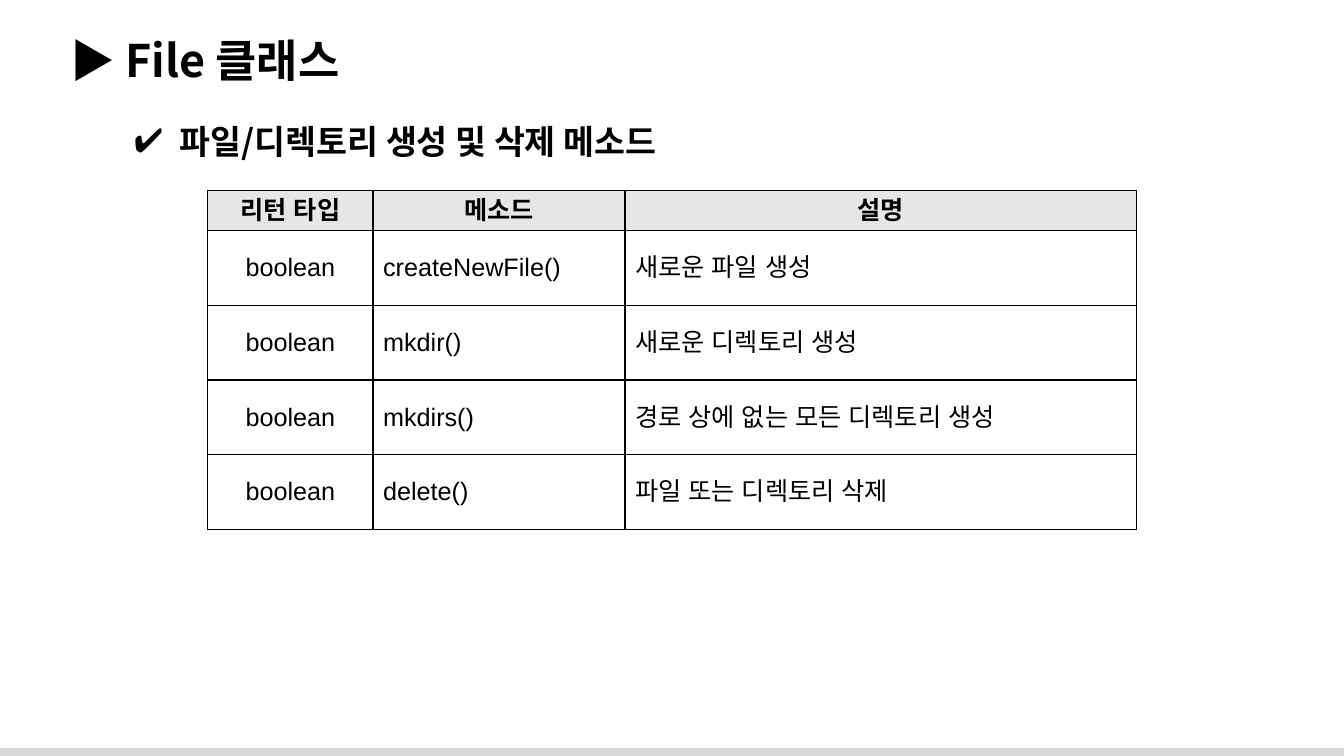
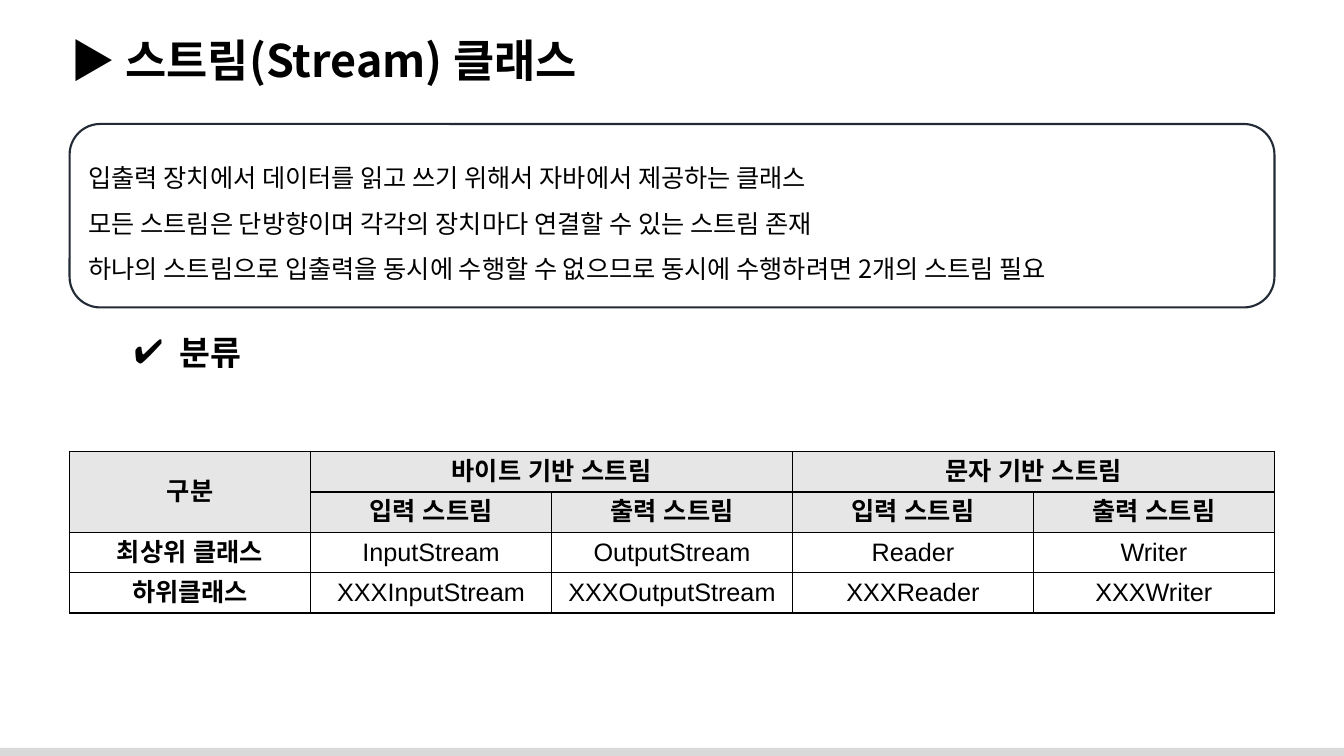
from lxml import etree
from pptx import Presentation
from pptx.dml.color import RGBColor
from pptx.enum.shapes import MSO_SHAPE
from pptx.enum.text import MSO_ANCHOR, MSO_AUTO_SIZE, PP_ALIGN
from pptx.oxml.ns import qn
from pptx.util import Inches, Pt

BLACK = RGBColor(0x00, 0x00, 0x00)
WHITE = RGBColor(0xFF, 0xFF, 0xFF)
HEADER = RGBColor(0xE7, 0xE6, 0xE6)
BAND = RGBColor(0xD9, 0xD9, 0xD9)
OUTLINE = RGBColor(0x22, 0x2A, 0x35)
LEFT, CENTER = PP_ALIGN.LEFT, PP_ALIGN.CENTER
MIDDLE = MSO_ANCHOR.MIDDLE
GROW = MSO_AUTO_SIZE.SHAPE_TO_FIT_TEXT
RECTANGLE, ROUNDED = MSO_SHAPE.RECTANGLE, MSO_SHAPE.ROUNDED_RECTANGLE
KOREAN, LATIN = "Noto Sans CJK KR", "Arial"
TITLE = {"name": KOREAN, "size": Pt(32), "bold": True}
HEADING = {"name": KOREAN, "size": Pt(24), "bold": True}
BODY = {"name": KOREAN, "size": Pt(18), "bold": False}
CELL = {"name": LATIN, "size": Pt(18), "bold": False}
CELL_BOLD = {**CELL, "bold": True}


class Lecture:
    """Holds the shared slide style and draws on the current page."""

    def __init__(self):
        self.deck = Presentation()
        self.deck.slide_width = Inches(13.33)
        self.deck.slide_height = Inches(7.5)
        self.page = None

    def add_page(self, title):
        self.page = self.deck.slides.add_slide(self.deck.slide_layouts[6])
        band = self.add_box(RECTANGLE, 0, 7.42, 13.33, 0.08)
        band.fill.solid()
        band.fill.fore_color.rgb = BAND
        band.line.fill.background()
        self.add_text(0.6, 0.28, 12.6, 0.64, title, TITLE)

    def add_box(self, kind, *place):
        box = self.page.shapes.add_shape(kind, *map(Inches, place))
        box.shadow.inherit = False
        return box

    def add_span(self, para, text, style, align=LEFT):
        para.alignment = align
        span = para.add_run()
        span.text = text
        for key, value in style.items():
            setattr(span.font, key, value)
        span.font.color.rgb = BLACK
        etree.SubElement(span.font._element, qn("a:ea"), typeface=style["name"])

    def add_text(self, left, top, width, height, text, style):
        box = self.page.shapes.add_textbox(*map(Inches, (left, top, width, height)))
        box.text_frame.word_wrap = True
        box.text_frame.auto_size = GROW
        para = box.text_frame.paragraphs[0]
        self.add_span(para, text, style)
        return para

    def add_heading(self, top, width, text):
        para = self.add_text(1.23, top, width, 0.5, text, HEADING)
        layout = para._p.get_or_add_pPr()
        layout.set("marL", str(Inches(0.38)))
        layout.set("indent", str(-Inches(0.38)))
        color = etree.SubElement(layout, qn("a:buClr"))
        etree.SubElement(color, qn("a:srgbClr"), val=str(BLACK))
        etree.SubElement(layout, qn("a:buFont"), typeface=LATIN)
        etree.SubElement(layout, qn("a:buChar"), char="✔")

    def add_summary(self, left, top, width, height, lines):
        box = self.add_box(ROUNDED, left, top, width, height)
        box.fill.background()
        box.line.color.rgb = OUTLINE
        box.line.width = Pt(1.5)
        frame = box.text_frame
        frame.word_wrap = True
        frame.vertical_anchor = MIDDLE
        for number, line in enumerate(lines):
            para = frame.add_paragraph() if number else frame.paragraphs[0]
            para.line_spacing = 1.5
            self.add_span(para, line, BODY)

    def add_border(self, cell):
        properties = cell._tc.get_or_add_tcPr()
        for side in ("lnL", "lnR", "lnT", "lnB"):
            line = etree.SubElement(properties, qn(f"a:{side}"), w=str(Pt(1)))
            fill = etree.SubElement(line, qn("a:solidFill"))
            etree.SubElement(fill, qn("a:srgbClr"), val=str(BLACK))

    def add_table(self, left, top, widths, heights, rows, aligns,
                  header_rows=1, bold_first=False, merges=()):
        place = map(Inches, (left, top, sum(widths), sum(heights)))
        table = self.page.shapes.add_table(len(rows), len(widths), *place).table
        table.first_row = table.horz_banding = False
        for column, width in zip(table.columns, widths):
            column.width = Inches(width)
        for row, height in zip(table.rows, heights):
            row.height = Inches(height)
        for r, texts in enumerate(rows):
            header = r < header_rows
            for c, text in enumerate(texts):
                cell = table.cell(r, c)
                self.add_border(cell)
                cell.fill.solid()
                cell.fill.fore_color.rgb = HEADER if header else WHITE
                cell.vertical_anchor = MIDDLE
                if text:
                    bold = header or (bold_first and c == 0)
                    self.add_span(cell.text_frame.paragraphs[0], text,
                                  CELL_BOLD if bold else CELL,
                                  CENTER if header else aligns[c])
        for first, last in merges:
            table.cell(*first).merge(table.cell(*last))


lecture = Lecture()

lecture.add_page("▶ File 클래스")
lecture.add_heading(1.15, 6.16, " 파일/디렉토리 생성 및 삭제 메소드")
methods = [
    ("리턴 타입", "메소드", "설명"),
    ("boolean", "createNewFile()", "새로운 파일 생성"),
    ("boolean", "mkdir()", "새로운 디렉토리 생성"),
    ("boolean", "mkdirs()", "경로 상에 없는 모든 디렉토리 생성"),
    ("boolean", "delete()", "파일 또는 디렉토리 삭제"),
]
lecture.add_table(2.06, 1.89, [1.64, 2.5, 5.07], [0.4] + [0.74] * 4,
                  methods, [CENTER, LEFT, LEFT])

lecture.add_page("▶ 스트림(Stream) 클래스")
lecture.add_summary(0.69, 1.23, 11.95, 1.82, [
    "입출력 장치에서 데이터를 읽고 쓰기 위해서 자바에서 제공하는 클래스",
    "모든 스트림은 단방향이며 각각의 장치마다 연결할 수 있는 스트림 존재",
    "하나의 스트림으로 입출력을 동시에 수행할 수 없으므로 동시에 수행하려면 2개의 스트림 필요",
])
lecture.add_heading(3.24, 1.37, " 분류")
streams = [
    ("구분", "바이트 기반 스트림", None, "문자 기반 스트림", None),
    (None, *("입력 스트림", "출력 스트림") * 2),
    ("최상위 클래스", "InputStream", "OutputStream", "Reader", "Writer"),
    ("하위클래스", "XXXInputStream", "XXXOutputStream", "XXXReader", "XXXWriter"),
]
lecture.add_table(0.69, 4.48, [2.39] * 5, [0.4] * 4, streams, [CENTER] * 5,
                  header_rows=2, bold_first=True,
                  merges=[((0, 0), (1, 0)), ((0, 1), (0, 2)), ((0, 3), (0, 4))])

lecture.deck.save("out.pptx")
